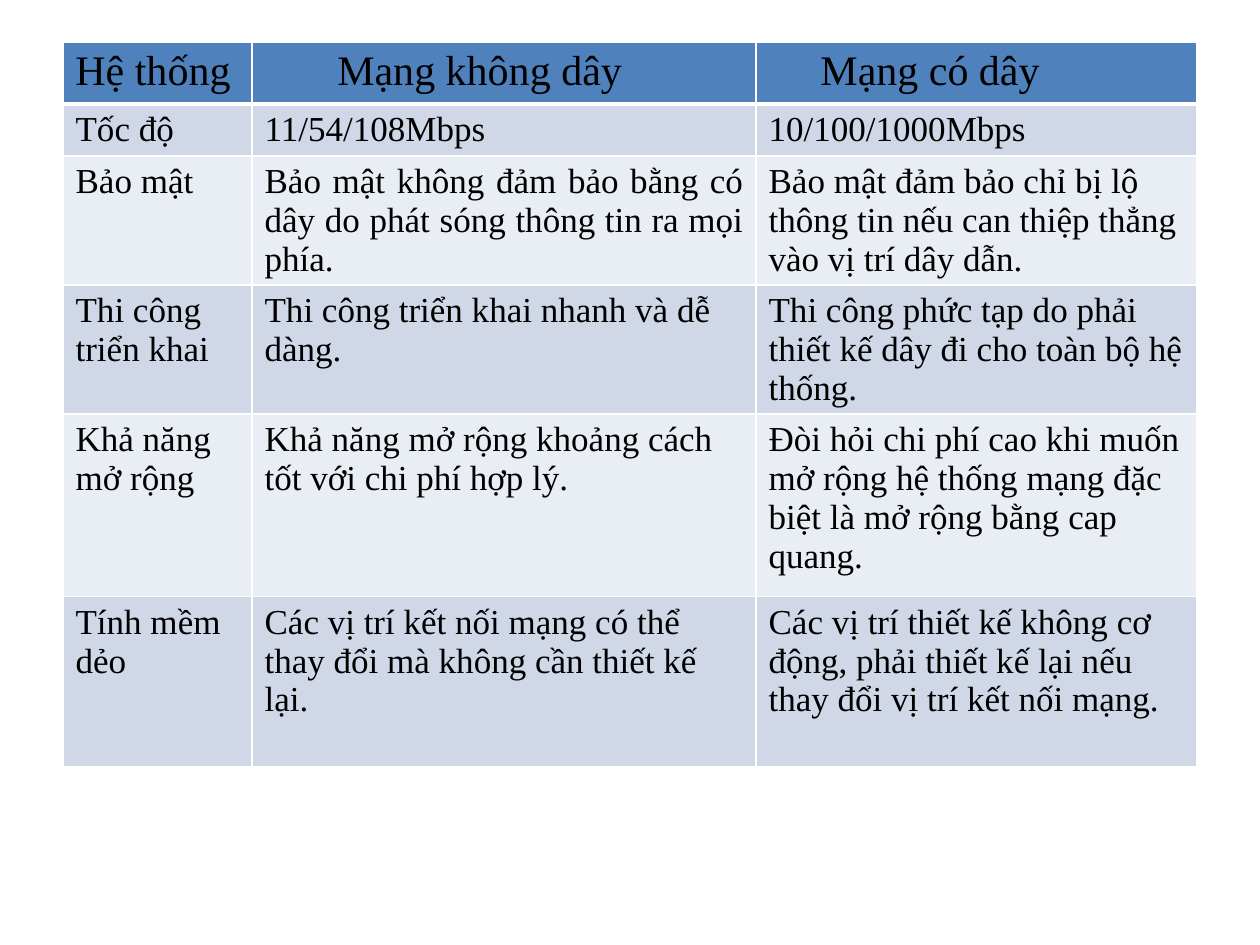
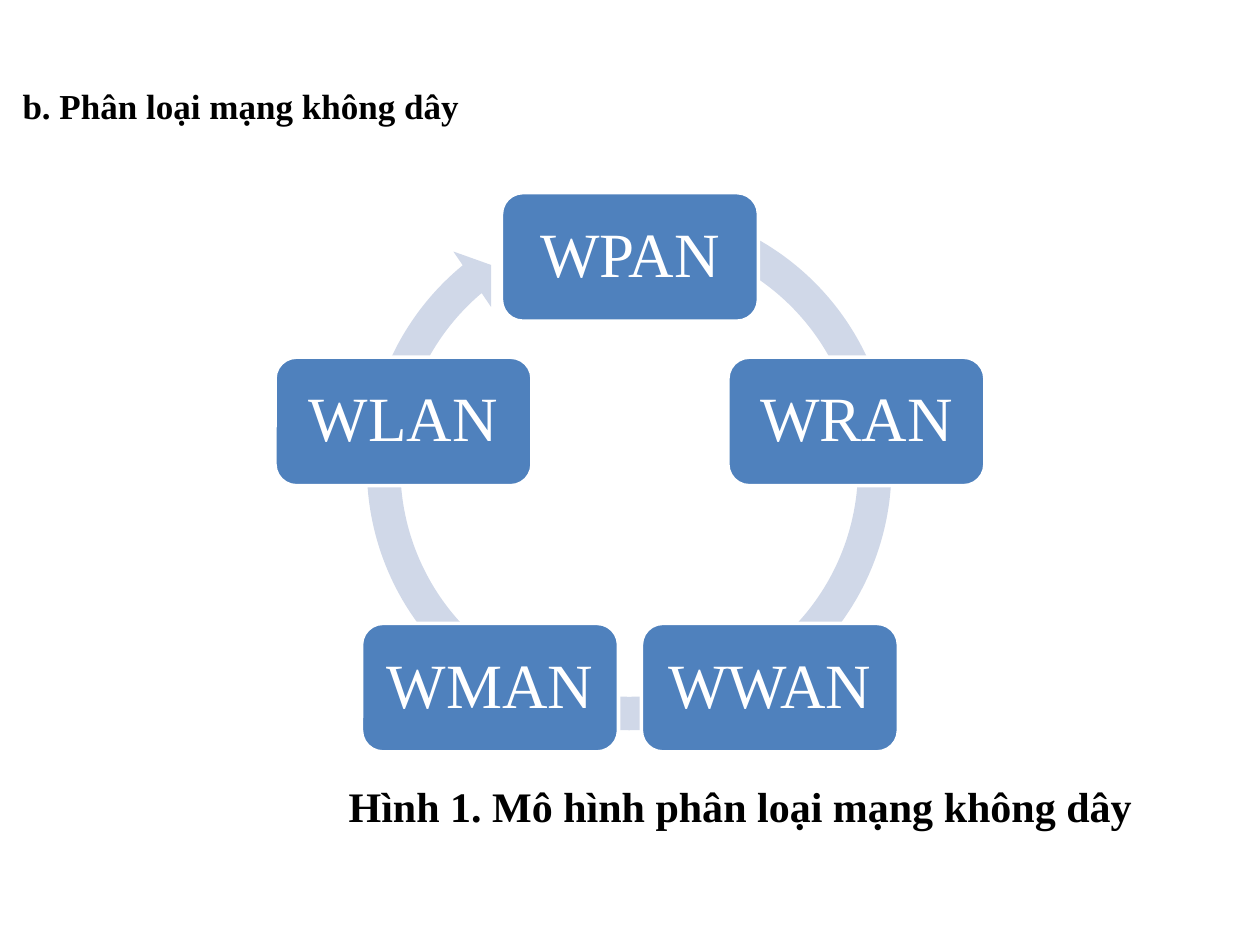
import math

from lxml import etree
from pptx import Presentation
from pptx import util as u
from pptx.dml.color import RGBColor
from pptx.enum import shapes, text
from pptx.oxml import ns

COLOURS = {
    "blue": "4F81BD",
    "band_dark": "D0D8E8",
    "band_light": "E9EDF4",
    "white": "FFFFFF",
    "black": "000000",
}
FONT = "Times New Roman"

HEADER = ["Hệ thống", "Mạng không dây", "Mạng có dây"]
COMPARISON = [
    ("Tốc độ", "11/54/108Mbps", "10/100/1000Mbps"),
    ("Bảo mật",
     "Bảo mật không đảm bảo bằng có dây do phát sóng thông tin ra mọi phía.",
     "Bảo mật đảm bảo chỉ bị lộ thông tin nếu can thiệp thẳng vào vị trí dây dẫn."),
    ("Thi công triển khai",
     "Thi công triển khai nhanh và dễ dàng.",
     "Thi công phức tạp do phải thiết kế dây đi cho toàn bộ hệ thống."),
    ("Khả năng mở rộng",
     "Khả năng mở rộng khoảng cách tốt với chi phí hợp lý.",
     "Đòi hỏi chi phí cao khi muốn mở rộng hệ thống mạng đặc biệt là mở rộng bằng cap quang."),
    ("Tính mềm dẻo",
     "Các vị trí kết nối mạng có thể thay đổi mà không cần thiết kế lại.",
     "Các vị trí thiết kế không cơ động, phải thiết kế lại nếu thay đổi vị trí kết nối mạng."),
]
COLUMN_WIDTHS = [3.81, 10.16, 8.89]
ROW_HEIGHTS = [1.25, 1.04, 2.6, 2.6, 3.68, 3.43]
HEADER_MARGINS = [0.25, 1.72, 1.3]
JUSTIFIED_CELL = (2, 1)

HEADING = "b. Phân loại mạng không dây"
CAPTION = "Hình 1. Mô hình phân loại mạng không dây"
NETWORKS = ["WPAN", "WRAN", "WWAN", "WMAN", "WLAN"]  # clockwise from the top
CYCLE_CENTRE = (12.7, 9.98)
CYCLE_RADIUS = 4.8
NODE_SIZE = (5.18, 2.59)
ARROW_BOX = (7.06, 3.81, 11.25, 11.25)
ARROW_ADJUSTMENTS = [0.06, 3.31, 138.15, 173.62, 0.06]


def colour(name):
    return RGBColor.from_string(COLOURS[name])


def cm_box(*lengths):
    return [u.Cm(length) for length in lengths]


def write(frame, content, size, ink="black", bold=False, **paragraph_format):
    frame.text = content
    paragraph = frame.paragraphs[0]
    for name, value in paragraph_format.items():
        setattr(paragraph, name, value)
    font = paragraph.runs[0].font
    for name, value in {"name": FONT, "size": u.Pt(size), "bold": bold}.items():
        setattr(font, name, value)
    font.color.rgb = colour(ink)


def add_borders(cell, row):
    """Draw white borders, with a heavier rule under the header row."""
    heavy = {(0, "lnB"), (1, "lnT")}
    properties = cell._tc.get_or_add_tcPr()
    for side in ("lnL", "lnR", "lnT", "lnB"):
        width = u.Pt(3 if (row, side) in heavy else 1)
        line = etree.SubElement(properties, ns.qn("a:" + side), w=str(int(width)))
        fill = etree.SubElement(line, ns.qn("a:solidFill"))
        etree.SubElement(fill, ns.qn("a:srgbClr"), val=COLOURS["white"])


def build_comparison(presentation):
    slide = presentation.slides.add_slide(presentation.slide_layouts[6])
    rows = [HEADER, *COMPARISON]
    box = cm_box(1.27, 0.85, sum(COLUMN_WIDTHS), sum(ROW_HEIGHTS))
    table = slide.shapes.add_table(len(rows), len(HEADER), *box).table
    table.first_row = table.horz_banding = False
    for column, width in zip(table.columns, COLUMN_WIDTHS):
        column.width = u.Cm(width)
    for table_row, height in zip(table.rows, ROW_HEIGHTS):
        table_row.height = u.Cm(height)

    for row, entries in enumerate(rows):
        band = "blue" if row == 0 else ("band_light", "band_dark")[row % 2]
        for column, entry in enumerate(entries):
            cell = table.cell(row, column)
            justified = (row, column) == JUSTIFIED_CELL
            write(cell.text_frame, entry, 20 if row else 24,
                  alignment=text.PP_ALIGN.JUSTIFY if justified else text.PP_ALIGN.LEFT)
            if row == 0:
                cell.margin_left = u.Cm(HEADER_MARGINS[column])
            add_borders(cell, row)
            cell.fill.solid()
            cell.fill.fore_color.rgb = colour(band)


def add_filled_shape(slide, kind, box, fill):
    shape = slide.shapes.add_shape(kind, *cm_box(*box))
    shape.shadow.inherit = False
    shape.fill.solid()
    shape.fill.fore_color.rgb = colour(fill)
    shape.line.fill.background()
    return shape


def add_node(slide, label, angle):
    """Place a network on the cycle, at an angle clockwise from the top."""
    width, height = NODE_SIZE
    left = CYCLE_CENTRE[0] + CYCLE_RADIUS * math.sin(angle) - width / 2
    top = CYCLE_CENTRE[1] - CYCLE_RADIUS * math.cos(angle) - height / 2
    node = add_filled_shape(slide, shapes.MSO_SHAPE.ROUNDED_RECTANGLE,
                            (left, top, width, height), "blue")
    node.line.color.rgb = colour("white")
    node.line.width = u.Pt(2)
    node.text_frame.word_wrap = False
    node.text_frame.vertical_anchor = text.MSO_ANCHOR.MIDDLE
    write(node.text_frame, label, 36, "white",
          alignment=text.PP_ALIGN.CENTER, line_spacing=0.9)


def build_classification(presentation):
    slide = presentation.slides.add_slide(presentation.slide_layouts[5])
    title = slide.shapes.title
    title.left, title.top, title.width, title.height = cm_box(0.2, 1.57, 23.7, 1.1)
    title.text_frame.vertical_anchor = text.MSO_ANCHOR.TOP
    write(title.text_frame, HEADING, 20, bold=True, alignment=text.PP_ALIGN.LEFT)

    arrow = add_filled_shape(slide, shapes.MSO_SHAPE.CIRCULAR_ARROW, ARROW_BOX, "band_dark")
    for index, value in enumerate(ARROW_ADJUSTMENTS):
        arrow.adjustments[index] = value
    for index, network in enumerate(NETWORKS):
        add_node(slide, network, index * math.tau / len(NETWORKS))

    caption = slide.shapes.add_textbox(*cm_box(6.78, 15.6, 17, 1.2))
    caption.text_frame.word_wrap = True
    write(caption.text_frame, CAPTION, 24, bold=True)


def main():
    presentation = Presentation()
    presentation.slide_width, presentation.slide_height = cm_box(25.4, 19.05)
    build_comparison(presentation)
    build_classification(presentation)
    presentation.save("out.pptx")


if __name__ == "__main__":
    main()
